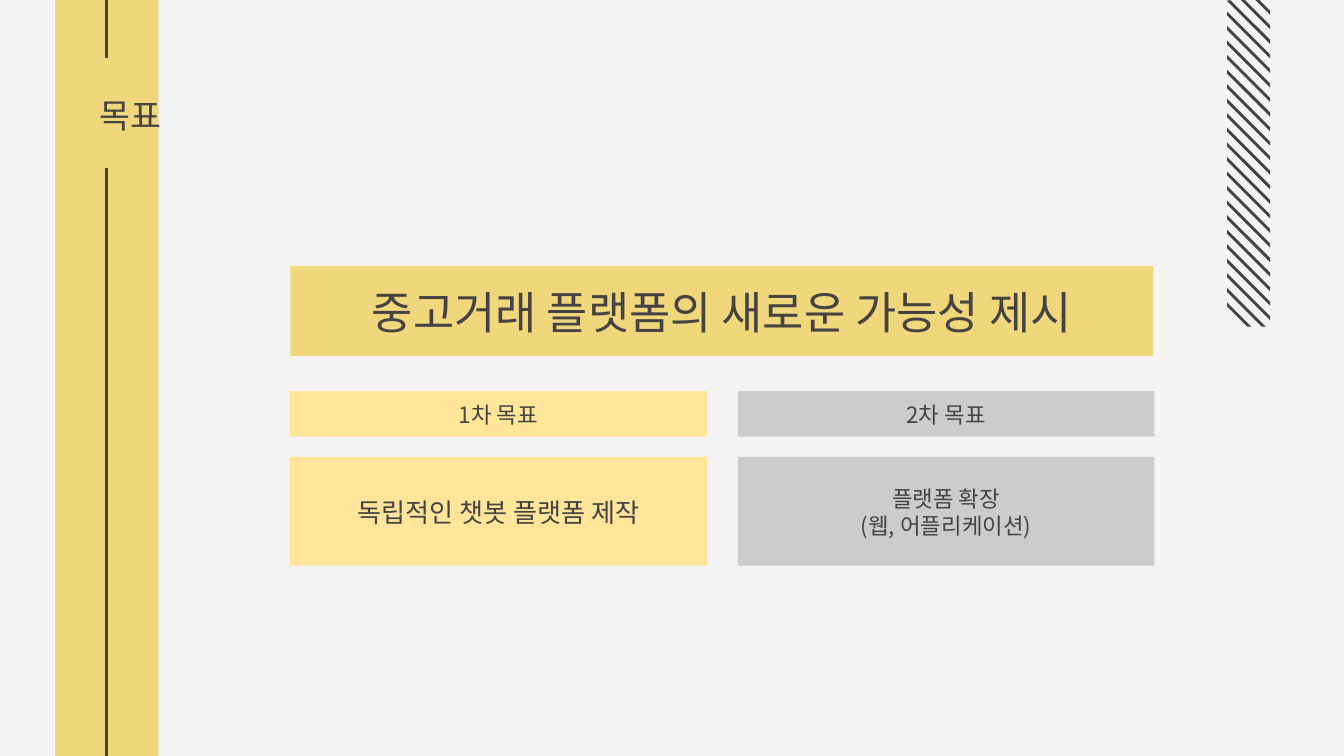
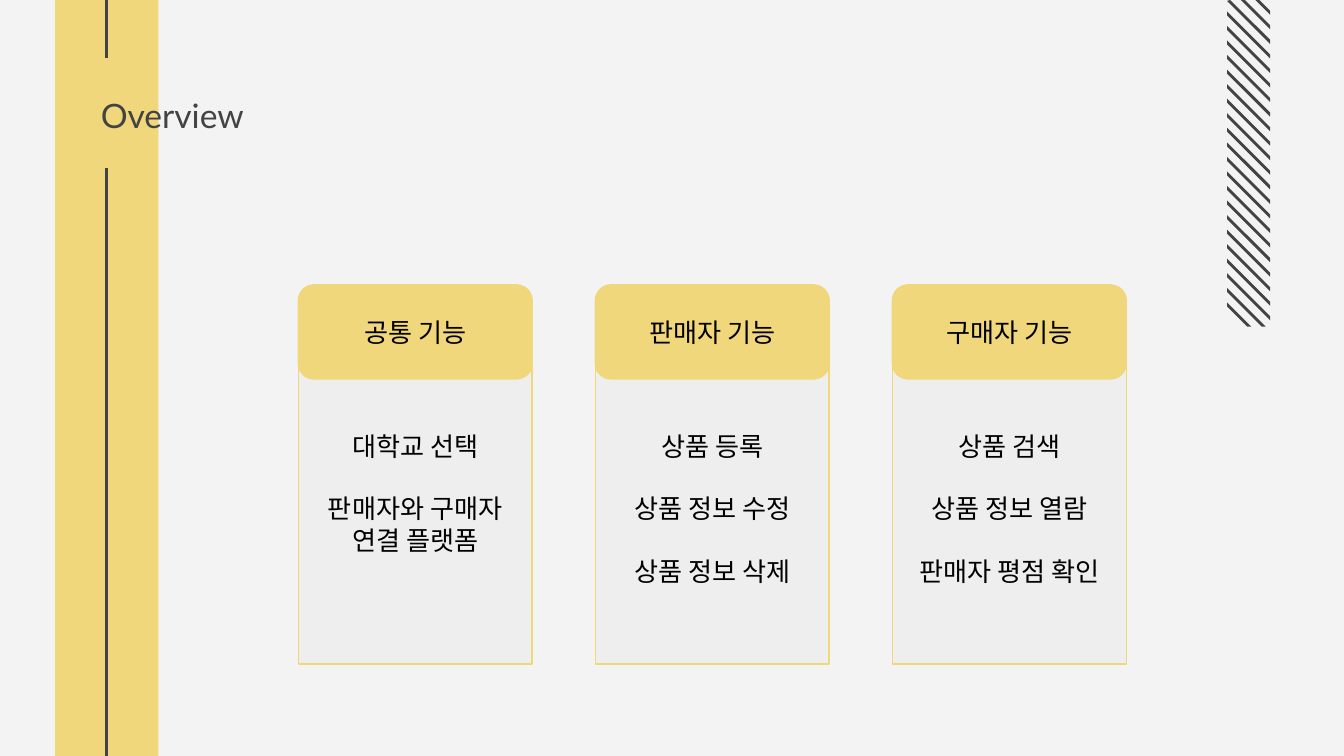
from lxml import etree
from pptx import Presentation
from pptx.dml.color import RGBColor
from pptx.enum import shapes, text
from pptx.oxml.ns import qn
from pptx.util import Inches, Pt

YELLOW = RGBColor(0xF1, 0xD7, 0x7B)
LIGHT_YELLOW = RGBColor(0xFF, 0xE5, 0x99)
GRAY = RGBColor(0xCC, 0xCC, 0xCC)
PALE = RGBColor(0xEE, 0xEE, 0xEE)
PAPER = RGBColor(0xF3, 0xF3, 0xF3)
DARK = RGBColor(0x43, 0x43, 0x43)
BLACK = RGBColor(0, 0, 0)
KOREAN = "Noto Sans CJK KR"
LATIN = "Lato"
RECT = shapes.MSO_SHAPE.RECTANGLE
ROUNDED = shapes.MSO_SHAPE.ROUNDED_RECTANGLE
CENTER, LEFT = text.PP_ALIGN.CENTER, text.PP_ALIGN.LEFT
MIDDLE, TOP = text.MSO_ANCHOR.MIDDLE, text.MSO_ANCHOR.TOP


def write(sp, lines, size, color=DARK, font=KOREAN, align=CENTER, anchor=MIDDLE,
          inset=0.1, top=0.1, gap=0):
    tf = sp.text_frame
    frame = {"word_wrap": True, "auto_size": text.MSO_AUTO_SIZE.NONE,
             "vertical_anchor": anchor, "margin_left": Inches(inset),
             "margin_right": Inches(inset), "margin_top": Inches(top),
             "margin_bottom": Inches(inset)}
    for name, value in frame.items():
        setattr(tf, name, value)
    for i, line in enumerate(lines):
        p = tf.add_paragraph() if i else tf.paragraphs[0]
        p.alignment = align
        p.space_before = Pt(gap if i else 0)
        if len(lines) > 1:
            p.line_spacing = Pt(size * 1.2)
        r = p.add_run()
        r.text = line
        for name, value in {"size": Pt(size), "name": font, "bold": False}.items():
            setattr(r.font, name, value)
        r.font.color.rgb = color
        etree.SubElement(r.font._element, qn("a:ea"), typeface=font)


def box(s, kind, at, fill, line=None):
    sp = s.shapes.add_shape(kind, *map(Inches, at))
    sp.shadow.inherit = False
    sp.fill.solid()
    sp.fill.fore_color.rgb = fill
    if line:
        sp.line.color.rgb = line
        sp.line.width = Pt(0.75)
    else:
        sp.line.fill.background()
    return sp


prs = Presentation()
prs.slide_width, prs.slide_height = Inches(10), Inches(10) * 9 // 16
layout = prs.slide_layouts[5]
layout.background.fill.solid()
layout.background.fill.fore_color.rgb = PAPER
for ph in list(layout.placeholders)[1:]:
    ph.element.getparent().remove(ph.element)

goal = prs.slides.add_slide(layout)
overview = prs.slides.add_slide(layout)

decor = [box(goal, RECT, (0.41, -0.02, 0.77, 5.65), YELLOW)]
for y1, y2 in [(Inches(1.25), prs.slide_height), (0, Inches(0.43))]:
    ln = goal.shapes.add_connector(shapes.MSO_CONNECTOR.STRAIGHT, Inches(0.79), y1,
                                   Inches(0.79), y2)
    ln.line.color.rgb = DARK
    ln.line.width = Pt(1.5)
    etree.SubElement(ln.element.spPr, qn("a:effectLst"))
    decor.append(ln)

hatch = goal.shapes.add_group_shape()
hatch_x, hatch_w, hatch_h, stripe_count = 9.13, 0.32, 2.43, 24
for i in range(stripe_count):
    upper = 2.25 - i * 2.49 / (stripe_count - 1)
    edges = []
    for e in (upper + 0.03, upper):
        x1, x2 = max(0, -e), min(hatch_w, hatch_h - e)
        edges.append([(Inches(hatch_x + x), Inches(x + e)) for x in (x1, x2)])
    points = edges[0] + edges[1][::-1]
    fb = hatch.shapes.build_freeform(*points[0], scale=1.0)
    fb.add_line_segments(points[1:], close=True)
    sp = fb.convert_to_shape()
    sp.shadow.inherit = False
    sp.fill.solid()
    sp.fill.fore_color.rgb = DARK
    sp.line.fill.background()
decor.append(hatch)
for sp in decor:
    layout.shapes.element.append(sp.element)

for s, title, font, x, w in [(goal, "목표", KOREAN, 0.64, 1.38),
                             (overview, "Overview", LATIN, 0.65, 2.29)]:
    place = {"left": x, "top": 0.45, "width": w, "height": 0.81}
    for name, value in place.items():
        setattr(s.shapes.title, name, Inches(value))
    write(s.shapes.title, [title], 18, font=font, align=LEFT)

goals = [
    ("1차 목표", ["독립적인 챗봇 플랫폼 제작"], 14, LIGHT_YELLOW),
    ("2차 목표", ["플랫폼 확장", "(웹, 어플리케이션)"], 12, GRAY),
]
sp = box(goal, RECT, (2.16, 1.98, 6.42, 0.67), YELLOW)
write(sp, ["중고거래 플랫폼의 새로운 가능성 제시"], 24, inset=0, top=0.01)
for i, (head, lines, size, fill) in enumerate(goals):
    x = 2.16 + i * 3.33
    write(box(goal, RECT, (x, 2.91, 3.1, 0.34), fill), [head], 12, inset=0, top=0.01)
    write(box(goal, RECT, (x, 3.4, 3.1, 0.81), fill), lines, size, inset=0, top=0.01)

features = [
    ("공통 기능", ["대학교 선택", "판매자와 구매자 연결 플랫폼"]),
    ("판매자 기능", ["상품 등록", "상품 정보 수정", "상품 정보 삭제"]),
    ("구매자 기능", ["상품 검색", "상품 정보 열람", "판매자 평점 확인"]),
]
for i, (head, lines) in enumerate(features):
    x = 2.22 + i * 2.21
    card = box(overview, RECT, (x, 2.4, 1.74, 2.54), PALE, YELLOW)
    write(card, lines, 14, BLACK, anchor=TOP, top=0.8, gap=16.8)
    tab = box(overview, ROUNDED, (x, 2.12, 1.74, 0.7), YELLOW, YELLOW)
    tab.adjustments[0] = 0.167
    write(tab, [head], 14, BLACK)

prs.save("out.pptx")
